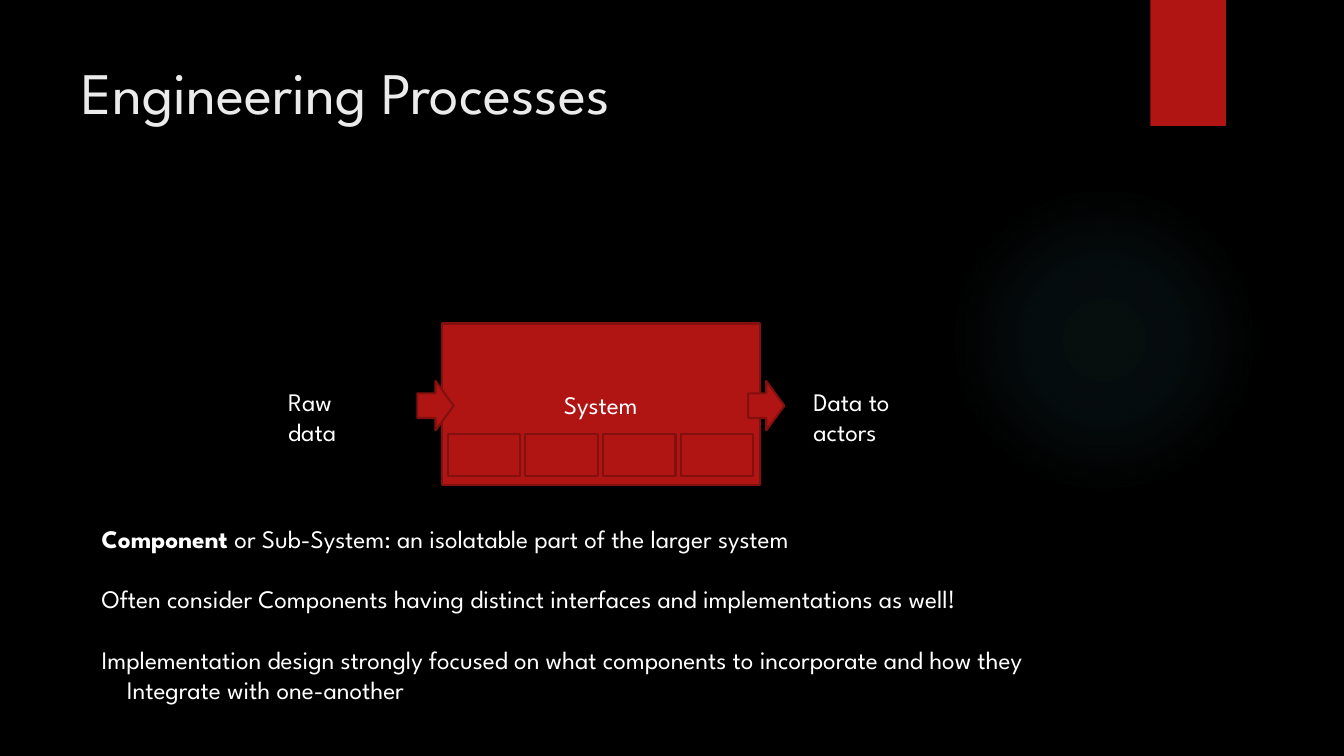
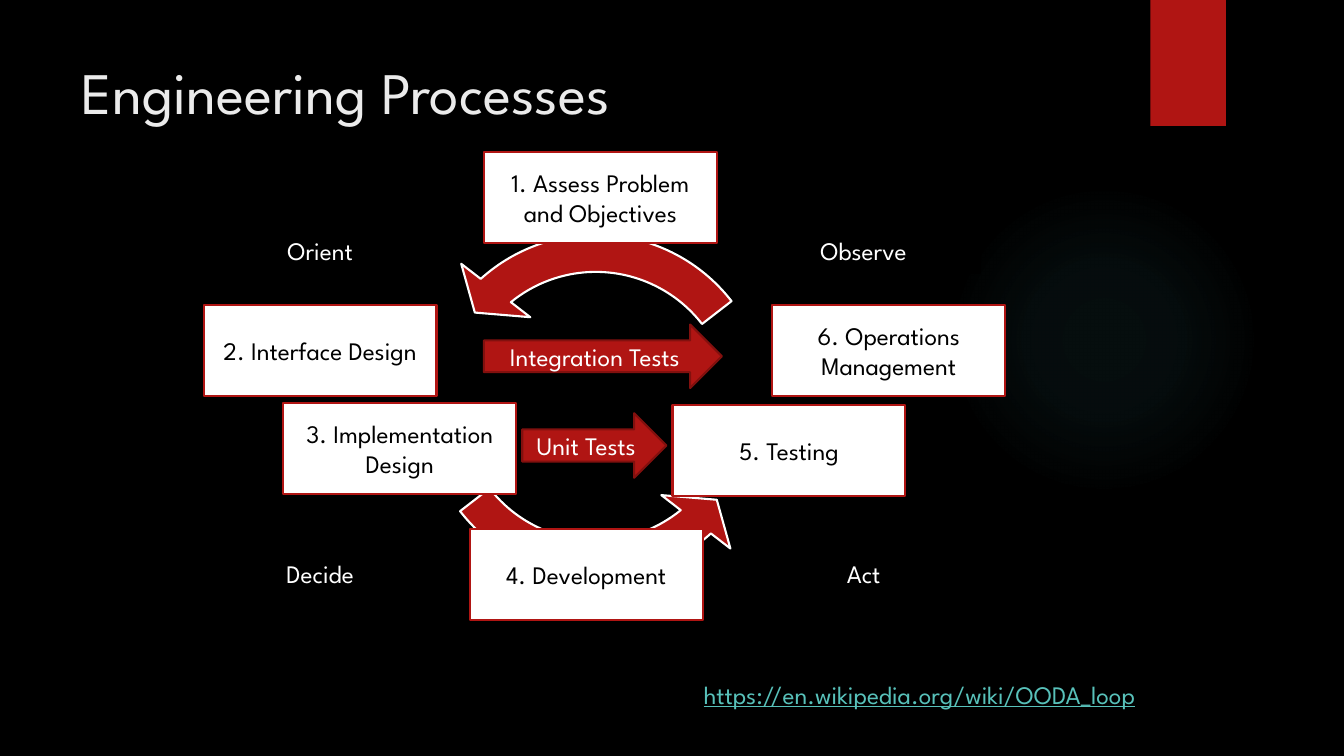
"""Build two slides on engineering processes."""
from lxml import etree
from pptx import Presentation
from pptx import util as u
from pptx.dml import color
from pptx.enum import shapes, text
from pptx.oxml import ns

FONT = "League Spartan"
COLORS = {
    "black": "000000",
    "white": "FFFFFF",
    "title": "EBEBEB",
    "red": "B01513",
    "dark_red": "82100E",
    "glow": "50B9C1",
    "link": "58C1BA",
}
GLOW_STOPS = [(0, 7), (36, 6), (69, 0)]
KIND = shapes.MSO_SHAPE


def rgb(name):
    return color.RGBColor.from_string(COLORS[name])


def add_span(para, words, ink="white", size=18, bold=False, underline=False):
    span = para.add_run()
    span.text = words
    span.font.name = FONT
    span.font.size = u.Pt(size)
    span.font.bold = bold
    span.font.underline = underline
    span.font.color.rgb = rgb(ink)


def add_shape(page, kind, place, fill="red", line="dark_red", label="", ink="white"):
    shape = page.shapes.add_shape(kind, *map(u.Inches, place))
    shape.shadow.inherit = False
    shape.fill.solid()
    shape.fill.fore_color.rgb = rgb(fill)
    if line:
        shape.line.color.rgb = rgb(line)
        shape.line.width = u.Pt(1.5)
    else:
        shape.line.fill.background()
    if label:
        frame = shape.text_frame
        frame.word_wrap = True
        frame.vertical_anchor = text.MSO_ANCHOR.MIDDLE
        para = frame.paragraphs[0]
        para.alignment = text.PP_ALIGN.CENTER
        add_span(para, label, ink)
    return shape


def add_text(page, place, words="", **style):
    box = page.shapes.add_textbox(*map(u.Inches, place))
    box.text_frame.word_wrap = True
    if words:
        add_span(box.text_frame.paragraphs[0], words, **style)
    return box.text_frame


def add_glow(page):
    glow = add_shape(page, KIND.OVAL, (9.41, 1.83, 3.08, 3.08), line=None)
    properties = glow.fill._xPr
    solid = properties.find(ns.qn("a:solidFill"))
    gradient = etree.Element(ns.qn("a:gradFill"), rotWithShape="1")
    stops = etree.SubElement(gradient, ns.qn("a:gsLst"))
    for position, opacity in GLOW_STOPS:
        stop = etree.SubElement(stops, ns.qn("a:gs"), pos=str(position * 1000))
        tint = etree.SubElement(stop, ns.qn("a:srgbClr"), val=COLORS["glow"])
        etree.SubElement(tint, ns.qn("a:alpha"), val=str(opacity * 1000))
    circle = etree.SubElement(gradient, ns.qn("a:path"), path="circle")
    sides = dict.fromkeys("ltrb", "50000")
    etree.SubElement(circle, ns.qn("a:fillToRect"), **sides)
    properties.replace(solid, gradient)


def add_page(deck, title):
    page = deck.slides.add_slide(deck.slide_layouts[6])
    add_glow(page)
    add_shape(page, KIND.RECTANGLE, (11.41, 0, 0.75, 1.25), line=None)
    add_text(page, (0.71, 0.5, 10.29, 1.53), title, ink="title", size=42)
    return page


def add_loop_arrow(page, head_angle, tail_angle):
    arrow = add_shape(page, KIND.LEFT_CIRCULAR_ARROW, (3.96, 2.08, 3.9, 3.9), line="white")
    for index, value in enumerate((0.095, 6.85, head_angle, tail_angle, 0.111)):
        arrow.adjustments[index] = value


def add_step(page, left, top, label):
    add_shape(page, KIND.RECTANGLE, (left, top, 2.31, 0.9), "white", "red", label, "black")


def add_phase(page, left, top, label):
    add_shape(page, KIND.RECTANGLE, (left, top, 2.31, 0.46), "black", "black", label)


def add_notes_on_components(page):
    frame = add_text(page, (0.91, 5.14, 11.43, 1.92))
    para = frame.paragraphs[0]
    add_span(para, "Component ", bold=True)
    add_span(para, "or Sub-System: an isolatable part of the larger system")
    for words in (
        "Often consider Components having distinct interfaces and implementations as well!",
        "Implementation design strongly focused on what components to incorporate and how they",
    ):
        para = frame.add_paragraph()
        para.space_before = u.Pt(21.6)
        add_span(para, words)
    para = frame.add_paragraph()
    para._p.get_or_add_pPr().set("marL", str(u.Inches(0.25)))
    add_span(para, "Integrate with one-another")


def build_system_page(deck):
    page = add_page(deck, "Engineering Processes")
    add_shape(page, KIND.RECTANGLE, (4.38, 3.21, 3.16, 1.6), label="System")
    add_text(page, (2.76, 3.78, 1.15, 0.4), "Raw data")
    add_text(page, (7.97, 3.78, 1.63, 0.4), "Data to actors")
    for left in (4.14, 7.42):
        add_shape(page, KIND.RIGHT_ARROW, (left, 3.78, 0.36, 0.49))
    for index in range(4):
        add_shape(page, KIND.RECTANGLE, (4.44 + 0.77 * index, 4.31, 0.72, 0.41))
    add_notes_on_components(page)


def build_loop_page(deck):
    page = add_page(deck, "Engineering Processes")
    add_loop_arrow(page, 29.49, 85.36)
    add_loop_arrow(page, 137.49, 193.36)
    for left, top, label in (
        (4.8, 1.51, "1. Assess Problem and Objectives"),
        (2.02, 3.03, "2. Interface Design"),
        (2.81, 4, "3. Implementation Design"),
        (4.66, 5.25, "4. Development"),
        (6.67, 4.02, "5. Testing"),
        (7.66, 3.03, "6. Operations Management"),
    ):
        add_step(page, left, top, label)
    add_shape(page, KIND.RIGHT_ARROW, (4.8, 3.22, 2.36, 0.63), label="Integration Tests")
    add_shape(page, KIND.RIGHT_ARROW, (5.18, 4.1, 1.43, 0.64), label="Unit Tests")
    for top, labels in ((2.25, ("Orient", "Observe")), (5.46, ("Decide", "Act"))):
        for left, label in zip((2.02, 7.41), labels):
            add_phase(page, left, top, label)
    add_text(page, (6.88, 6.69, 5.84, 0.4), "https://en.wikipedia.org/wiki/OODA_loop",
             ink="link", underline=True)


def main():
    deck = Presentation()
    deck.slide_width = u.Inches(13.33)
    deck.slide_height = u.Inches(7.5)
    backdrop = deck.slide_master.background.fill
    backdrop.solid()
    backdrop.fore_color.rgb = rgb("black")
    build_system_page(deck)
    build_loop_page(deck)
    deck.save("out.pptx")


if __name__ == "__main__":
    main()
